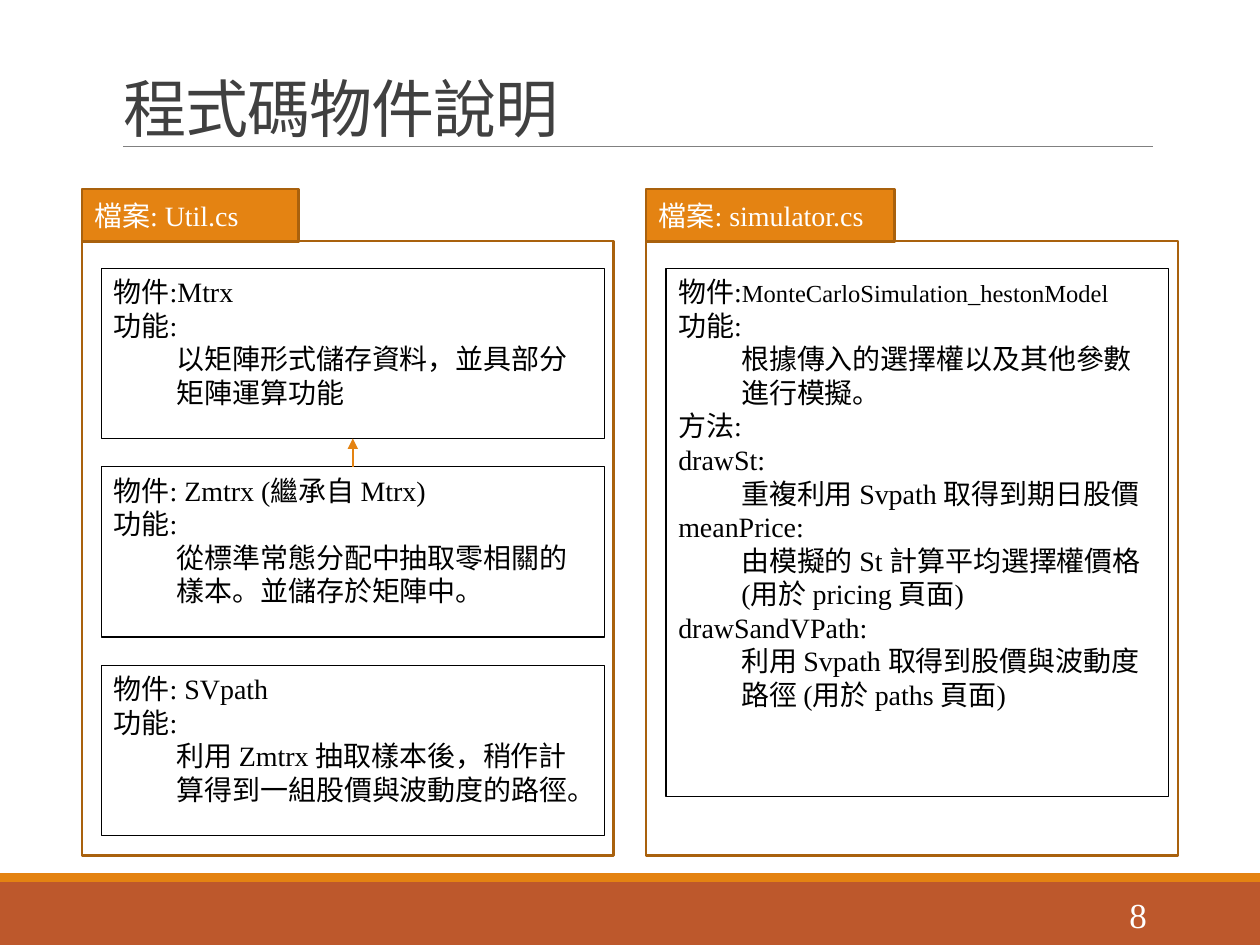
from pptx import Presentation
from pptx import util as u
from pptx.dml.color import RGBColor
from pptx.enum import shapes, text
from pptx.oxml.ns import qn
from lxml import etree

FONT = "Times New Roman"
ORANGE, RUST, BROWN = "E48312", "BD582C", "A9610D"
BLACK, WHITE, DARK, GREY = "000000", "FFFFFF", "404040", "808080"
W, H = 10, 7.5

# Content: a leading tab marks an indented line, a bar starts a smaller run
TITLE, PAGE = "程式碼物件說明", "8"
FILES = [
    dict(left=0.65, tab=1.72, name="檔案: Util.cs", high=1.35, cards=[
        ["物件:Mtrx", "功能:", "\t以矩陣形式儲存資料，並具部分矩陣運算功能"],
        ["物件: Zmtrx (繼承自 Mtrx)", "功能:",
         "\t從標準常態分配中抽取零相關的樣本。並儲存於矩陣中。"],
        ["物件: SVpath", "功能:",
         "\t利用 Zmtrx 抽取樣本後，稍作計算得到一組股價與波動度的路徑。"],
    ]),
    dict(left=5.13, tab=1.97, name="檔案: simulator.cs", high=4.19, cards=[
        ["物件:|MonteCarloSimulation_hestonModel", "功能:",
         "\t根據傳入的選擇權以及其他參數進行模擬。", "方法:",
         "drawSt:", "\t重複利用 Svpath 取得到期日股價",
         "meanPrice:", "\t由模擬的 St 計算平均選擇權價格", "\t(用於 pricing 頁面)",
         "drawSandVPath:", "\t利用 Svpath 取得到股價與波動度路徑 (用於 paths 頁面)"],
    ]),
]
TAB_TOP, TAB_H, BODY_TOP, BODY_W, BODY_H = 1.5, 0.42, 1.91, 4.22, 4.88
CARD_TOP, CARD_W, STEP, PAD = 2.13, 3.99, 1.575, 0.155

deck = Presentation()
deck.slide_width, deck.slide_height = u.Inches(W), u.Inches(H)
slide = deck.slides.add_slide(deck.slide_layouts[6])


def rgb(hue):
    return RGBColor.from_string(hue)


def write(shape, lines, size, hue, anchor, align=text.PP_ALIGN.LEFT):
    frame = shape.text_frame
    frame.word_wrap = True
    frame.vertical_anchor = anchor
    for i, line in enumerate(lines):
        para = frame.paragraphs[0] if i == 0 else frame.add_paragraph()
        para.alignment = align
        para.font.size, para.font.name = u.Pt(size), FONT
        para.font.color.rgb = rgb(hue)
        if line.startswith("\t"):
            para.level = 1
            props = para._p.get_or_add_pPr()
            props.set("marL", str(u.Inches(0.5)))
            props.set("indent", "0")
        for j, part in enumerate(line.strip().split("|")):
            run = para.add_run()
            run.text = part
            if j:
                run.font.size = u.Pt(size - 2)
    return frame


def box(x, y, w, h, fill=None, edge=None, width=1.25):
    shape = slide.shapes.add_shape(
        shapes.MSO_SHAPE.RECTANGLE, *map(u.Inches, (x, y, w, h)))
    shape.shadow.inherit = False
    if fill:
        shape.fill.solid()
        shape.fill.fore_color.rgb = rgb(fill)
    else:
        shape.fill.background()
    if edge:
        shape.line.color.rgb = rgb(edge)
        shape.line.width = u.Pt(width)
    else:
        shape.line.fill.background()
    return shape


def label(x, y, w, h):
    return slide.shapes.add_textbox(*map(u.Inches, (x, y, w, h)))


def rule(x1, y1, x2, y2, hue, width, arrow=False):
    line = slide.shapes.add_connector(
        shapes.MSO_CONNECTOR.STRAIGHT, *map(u.Inches, (x1, y1, x2, y2)))
    line.line.color.rgb = rgb(hue)
    line.line.width = u.Pt(width)
    if arrow:
        etree.SubElement(line.line._get_or_add_ln(), qn("a:tailEnd"), type="triangle")
    etree.SubElement(line._element.spPr, qn("a:effectLst"))


# Footer bands, title and page number
box(0, 7, W, 0.5, RUST)
box(0, 6.93, W, 0.07, ORANGE)
rule(0.98, 1.16, 9.15, 1.16, GREY, 0.5)
MID, TOP, LOW = text.MSO_ANCHOR.MIDDLE, text.MSO_ANCHOR.TOP, text.MSO_ANCHOR.BOTTOM
head = write(label(0.88, 0.43, 8.25, 0.77), [TITLE], 36, DARK, LOW).paragraphs[0]
head.line_spacing = 0.85
head.runs[0].font._element.set("spc", "-50")
write(label(8.12, 7.06, 1.08, 0.4), [PAGE], 20, WHITE, MID, text.PP_ALIGN.RIGHT)

# One folder per file, with its object cards stacked inside
for file in FILES:
    left, high = file["left"], file["high"]
    tab = box(left, TAB_TOP, file["tab"], TAB_H, ORANGE, BROWN)
    write(tab, [file["name"]], 16, WHITE, MID)
    box(left, BODY_TOP, BODY_W, BODY_H, edge=BROWN)
    for row, lines in enumerate(file["cards"]):
        card = box(left + PAD, CARD_TOP + row * STEP, CARD_W, high, edge=BLACK, width=0.75)
        write(card, lines, 16, BLACK, TOP)

# Inheritance arrow from the second card up to the first
mid = FILES[0]["left"] + PAD + CARD_W / 2
rule(mid, CARD_TOP + STEP, mid, CARD_TOP + FILES[0]["high"], ORANGE, 1, arrow=True)

deck.save("out.pptx")
